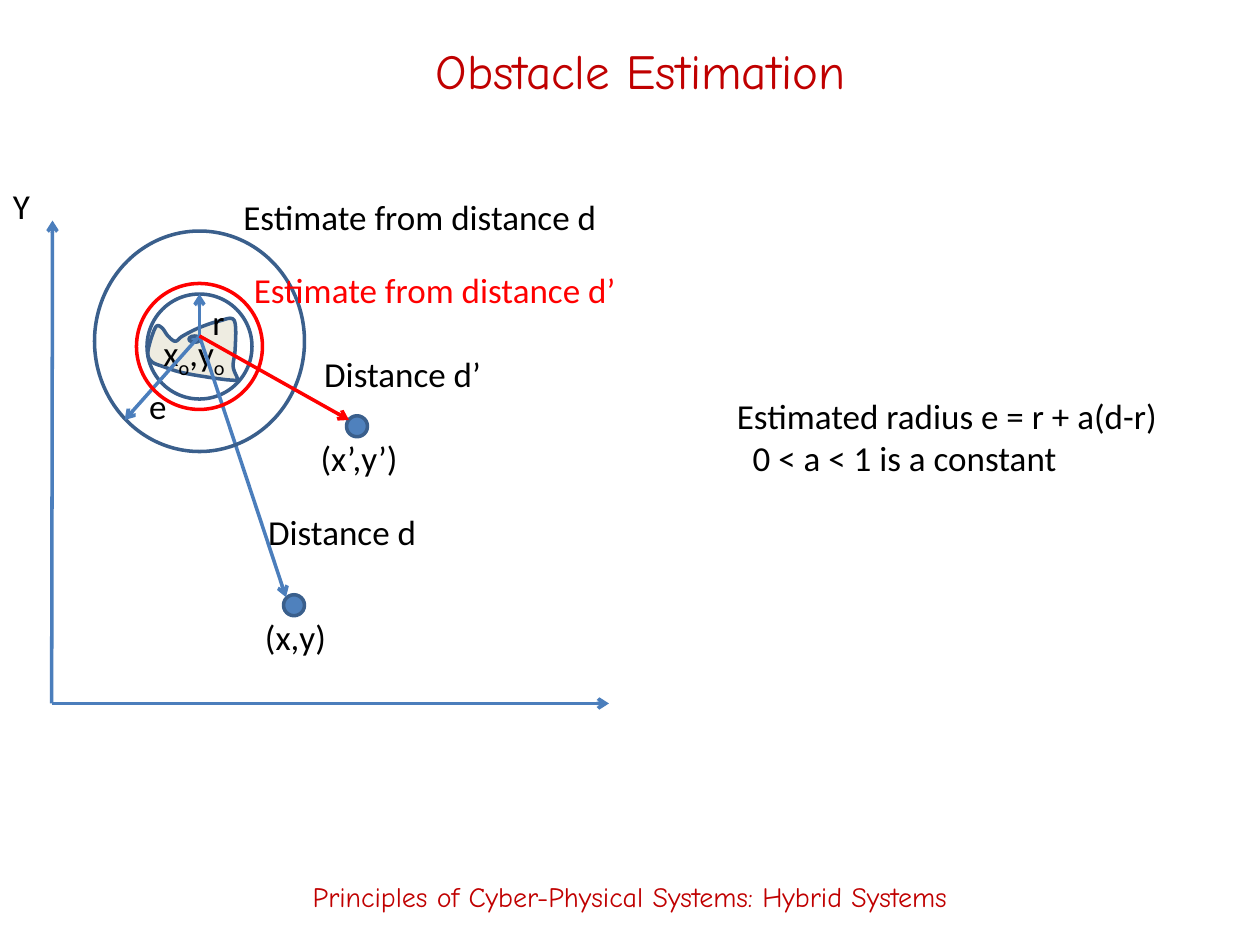
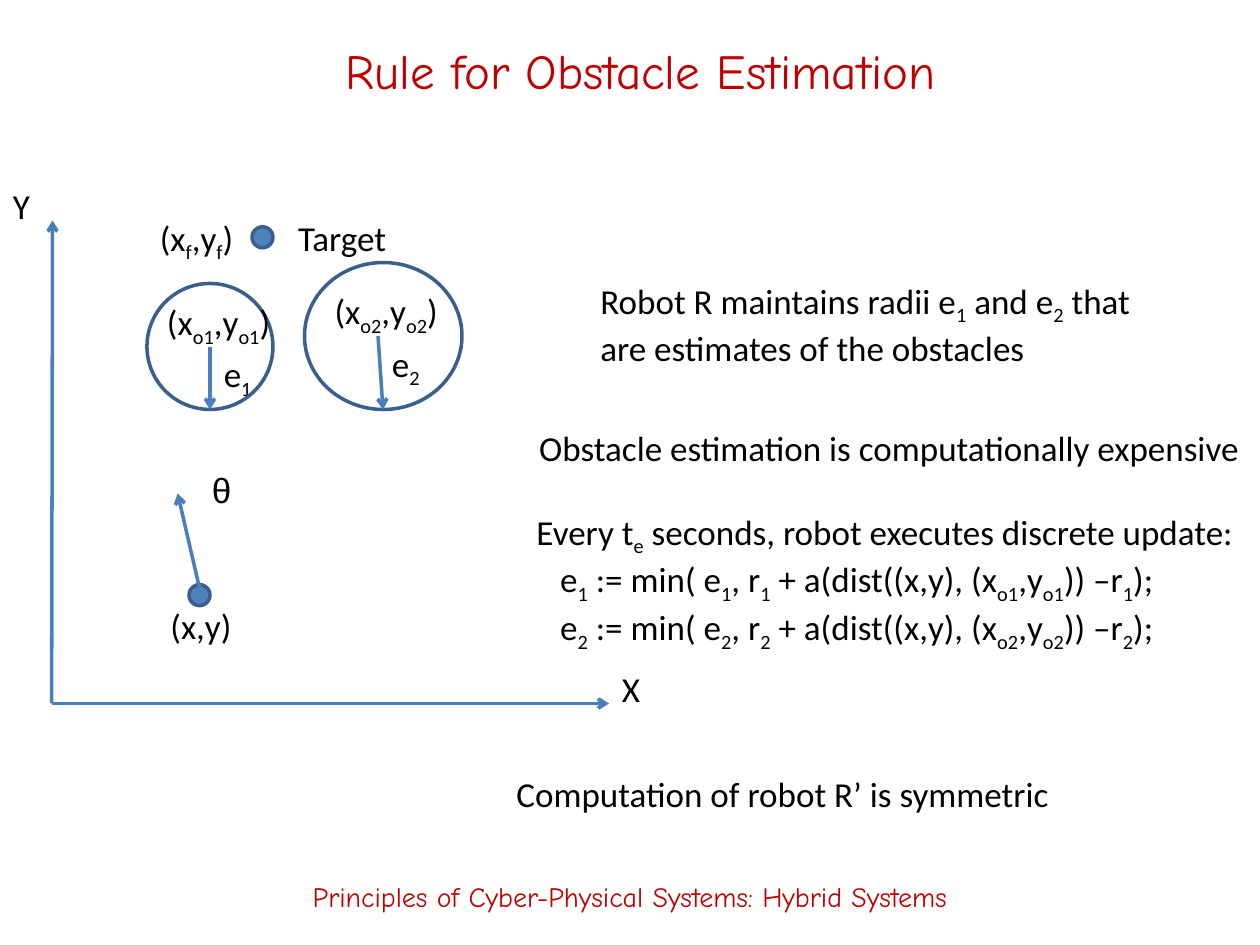
from dataclasses import dataclass

from lxml import etree
from pptx import Presentation, util as u
from pptx.dml.color import RGBColor
from pptx.enum import shapes, text
from pptx.oxml.ns import qn


@dataclass(frozen=True)
class Theme:
    heading: str = "C00000"
    ink: str = "000000"
    alert: str = "FF0000"
    arrow: str = "4B7EBC"
    outline: str = "3A5F8C"
    dot: str = "4F81BD"
    obstacle: str = "EEECE1"
    heading_font: str = "Comic Neue"
    body_font: str = "Calibri"
    greek_font: str = "Arial"
    title_size: int = 28
    body_size: int = 20
    footer_size: int = 16
    line_width: int = 2


THEME = Theme()
WIDTH, HEIGHT = u.Inches(10), u.Inches(7.5)
COLUMNS, ROWS = 120, 90
CENTER, LEFT = text.PP_ALIGN.CENTER, text.PP_ALIGN.LEFT
FOOTER = "Principles of Cyber-Physical Systems: Hybrid Systems"
OBSTACLE_OUTLINE = [
    (14.8, 31.2), (14.1, 33.4), (14.4, 34.4), (15.5, 34.9), (17.4, 35.5), (20.3, 36),
    (22, 36.2), (22.6, 36.1), (22.2, 34.9), (22.4, 33.2), (22.3, 30.5), (20.8, 30.6),
    (19, 31.2), (17.4, 32), (16.7, 32.5), (16, 32), (15.4, 31.2),
]


def across(columns):
    return u.Emu(round(columns * WIDTH / COLUMNS))


def down(rows):
    return u.Emu(round(rows * HEIGHT / ROWS))


def color(value):
    return RGBColor.from_string(value)


def style_line(line, value):
    line.color.rgb = color(value)
    line.width = u.Pt(THEME.line_width)


def fill_paragraph(para, content, align, size, font, value):
    para.alignment = align
    for index, piece in enumerate(content.replace("]", "[").split("[")):
        if not piece:
            continue
        span = para.add_run()
        span.text = piece
        span.font.size = u.Pt(size)
        span.font.name = font
        span.font.color.rgb = color(value)
        if index % 2:
            span._r.get_or_add_rPr().set("baseline", "-25000")


def add_heading(page, content, place, size):
    column, row, columns, rows = place
    box = page.shapes.add_textbox(across(column), down(row), across(columns), down(rows))
    box.text_frame.word_wrap = True
    box.text_frame.vertical_anchor = text.MSO_ANCHOR.MIDDLE
    fill_paragraph(box.text_frame.paragraphs[0], content, CENTER, size,
                   THEME.heading_font, THEME.heading)


def add_label(page, content, column, row, columns, align=CENTER,
              value=THEME.ink, font=THEME.body_font, indent=0):
    lines = content.split("\n")
    box = page.shapes.add_textbox(across(column), down(row), across(columns),
                                  down(1.2 + 4 * len(lines)))
    frame = box.text_frame
    frame.word_wrap = False
    frame.auto_size = text.MSO_AUTO_SIZE.SHAPE_TO_FIT_TEXT
    for index, line in enumerate(lines):
        para = frame.add_paragraph() if index else frame.paragraphs[0]
        fill_paragraph(para, line, align, THEME.body_size, font, value)
        if index and indent:
            para._p.get_or_add_pPr().set("marL", str(across(indent)))


def add_arrow(page, start, end, value=THEME.arrow):
    arrow = page.shapes.add_connector(
        shapes.MSO_CONNECTOR.STRAIGHT,
        across(start[0]), down(start[1]), across(end[0]), down(end[1]))
    style_line(arrow.line, value)
    etree.SubElement(arrow.line._get_or_add_ln(), qn("a:tailEnd"), type="arrow")
    etree.SubElement(arrow._element.spPr, qn("a:effectLst"))


def add_ellipse(page, column, row, columns, rows, fill=None, value=THEME.outline):
    ellipse = page.shapes.add_shape(
        shapes.MSO_SHAPE.OVAL, across(column), down(row), across(columns), down(rows))
    ellipse.shadow.inherit = False
    style_line(ellipse.line, value)
    if fill:
        ellipse.fill.solid()
        ellipse.fill.fore_color.rgb = color(fill)
    else:
        ellipse.fill.background()


def add_dot(page, column, row):
    add_ellipse(page, column, row, 2, 2, THEME.dot)


def spline(a, b, c, d, t):
    return (2 * b + (c - a) * t + (2 * a - 5 * b + 4 * c - d) * t ** 2
            + (3 * b - a - 3 * c + d) * t ** 3) / 2


def smooth_outline(points, steps=6):
    count = len(points)
    curve = []
    for index in range(count):
        near = [points[(index + offset) % count] for offset in (-1, 0, 1, 2)]
        for step in range(steps):
            x, y = (spline(*axis, step / steps) for axis in zip(*near))
            curve.append((across(x), down(y)))
    return curve


def add_obstacle(page):
    curve = smooth_outline(OBSTACLE_OUTLINE)
    builder = page.shapes.build_freeform(*curve[0])
    builder.add_line_segments(curve[1:], close=True)
    obstacle = builder.convert_to_shape()
    obstacle.shadow.inherit = False
    obstacle.fill.solid()
    obstacle.fill.fore_color.rgb = color(THEME.obstacle)
    style_line(obstacle.line, THEME.outline)


def add_page(deck, title):
    page = deck.slides.add_slide(deck.slide_layouts[6])
    add_heading(page, title, (8, 2, 106, 9.33), THEME.title_size)
    add_heading(page, FOOTER, (0, 80.67, 120, 9.33), THEME.footer_size)
    origin = (4.92, 67)
    add_arrow(page, origin, (58, 67))
    add_arrow(page, origin, (5, 21))
    add_label(page, "Y", 0, 17, 4.08)
    return page


def build_estimation(deck):
    page = add_page(deck, "Obstacle Estimation")
    center = (19, 32)
    add_obstacle(page)
    add_label(page, "Estimated radius e = r + a(d-r)\n0 < a < 1 is a constant",
              69, 37, 43.68, LEFT, indent=1.5)
    add_ellipse(page, 14, 28, 10, 10)
    add_ellipse(page, 18, 32, 1.08, 0.6, THEME.dot)
    add_label(page, "x[o],y[o]", 14.28, 31, 8.4)
    add_arrow(page, center, (19, 28))
    add_label(page, "r", 19, 28, 3.6)

    add_dot(page, 27, 56.64)
    add_label(page, "Estimate from distance d", 22, 18, 36.36, LEFT)
    add_label(page, "(x,y)", 24, 58, 8.28)
    add_arrow(page, center, (27.24, 56.88))
    add_label(page, "Distance d", 24.24, 48, 16.68)
    add_ellipse(page, 9, 22, 20, 21)
    add_arrow(page, center, (11.88, 40))
    add_label(page, "e", 13, 36, 4.08)

    add_dot(page, 33, 39.6)
    add_label(page, "(x’,y’)", 29.28, 41, 9.84)
    add_arrow(page, center, (33.24, 40), THEME.alert)
    add_label(page, "Distance d’", 29.64, 33, 17.4)
    add_ellipse(page, 13, 27, 12, 12, value=THEME.alert)
    add_label(page, "Estimate from distance d’", 23, 25, 37.2, LEFT, THEME.alert)


def add_estimate(page, number, circle, center, tip, name_place):
    add_label(page, f"e[{number}]", *center, 5.28)
    add_ellipse(page, *circle)
    add_arrow(page, center, tip)
    add_label(page, f"(x[o{number}],y[o{number}])", *name_place, 12.84)


def update_rule(number):
    return (f"e[{number}] := min( e[{number}], r[{number}] + a(dist((x,y), "
            f"(x[o{number}],y[o{number}])) –r[{number}]);")


def build_rule(deck):
    page = add_page(deck, "Rule for Obstacle Estimation")
    add_label(page, "X", 58, 63, 4.2)
    add_dot(page, 18, 55.68)
    add_label(page, "(x,y)", 15, 57, 8.28)
    add_arrow(page, (19, 56), (16.92, 47))
    add_label(page, "θ", 19, 44, 4.2, font=THEME.greek_font)
    add_dot(page, 24, 21.6)
    add_label(page, "Target", 27.12, 20, 10.92)
    add_label(page, "(x[f],y[f])", 13.92, 20, 9.6)
    add_estimate(page, 1, (14, 27, 12, 12), (20, 33), (20, 39), (14.4, 28))
    add_estimate(page, 2, (29, 25, 15, 14), (36, 32), (36.48, 39), (30.36, 27))

    add_label(page, "Robot R maintains radii e[1] and e[2] that\n"
              "are estimates of the obstacles", 56, 26, 54.72, LEFT)
    add_label(page, "Obstacle estimation is computationally expensive",
              50.16, 40, 69.84, LEFT)
    rules = ["Every t[e] seconds, robot executes discrete update:", update_rule(1), update_rule(2)]
    add_label(page, "\n".join(rules), 49.92, 48, 70.08, LEFT, indent=2.26)
    add_label(page, "Computation of robot R’ is symmetric", 48, 73, 53.64, LEFT)


def main():
    deck = Presentation()
    deck.slide_width, deck.slide_height = WIDTH, HEIGHT
    build_estimation(deck)
    build_rule(deck)
    deck.save("out.pptx")


if __name__ == "__main__":
    main()
